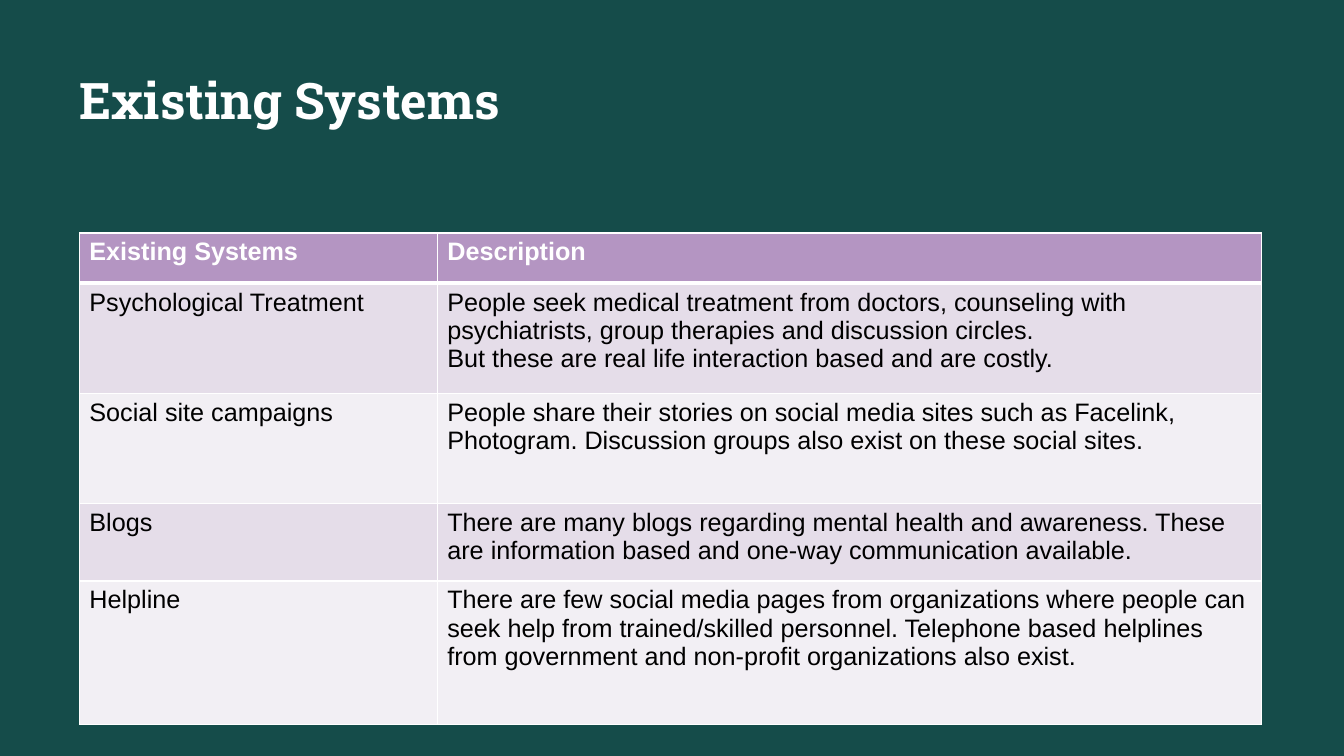
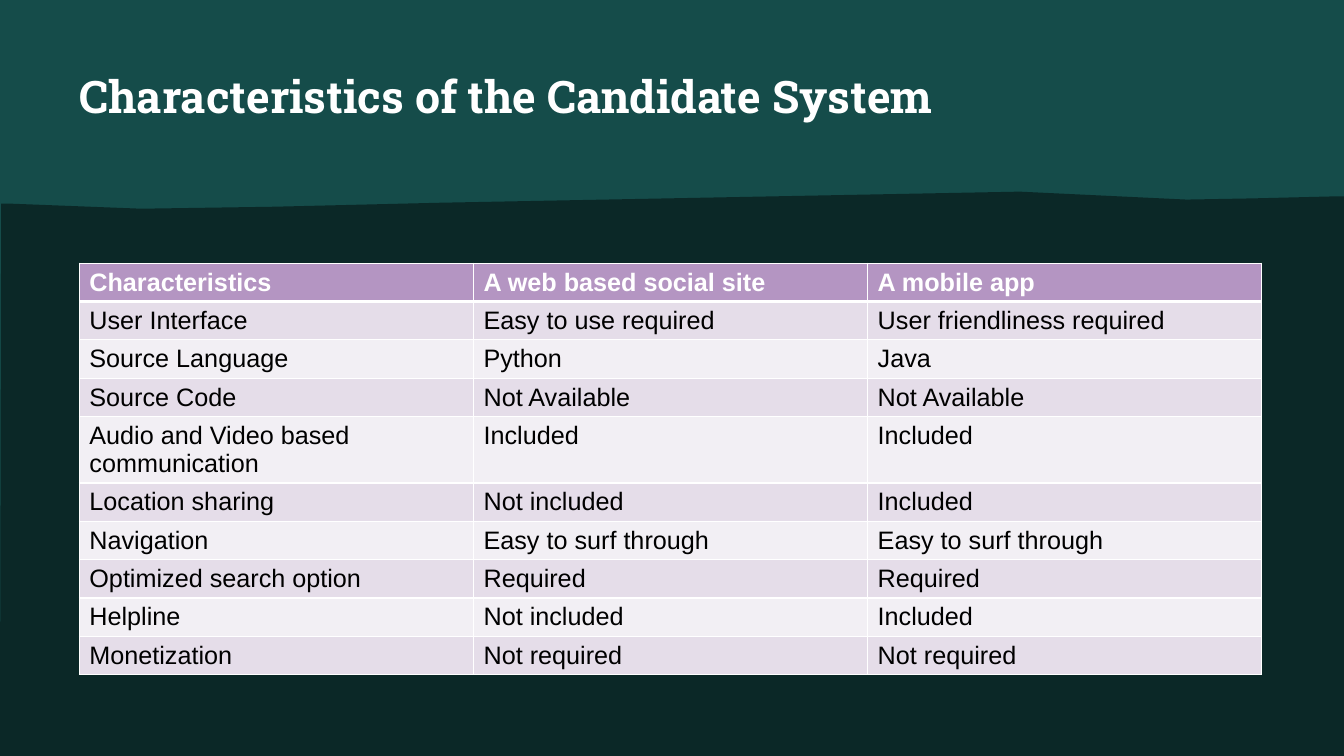
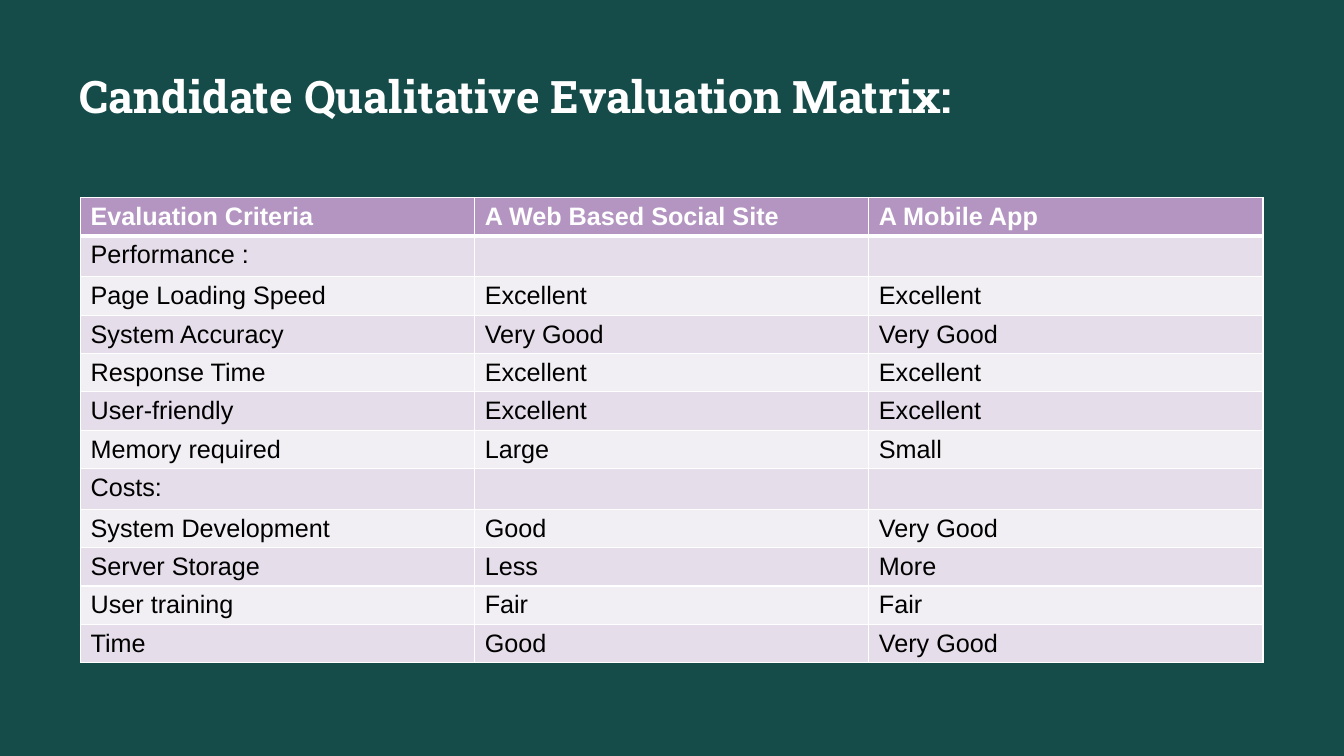
from dataclasses import dataclass

from lxml.etree import SubElement
from pptx import Presentation
from pptx.dml.color import RGBColor as Color
from pptx.enum.text import MSO_ANCHOR as Anchor, MSO_AUTO_SIZE as AutoSize, PP_ALIGN as Align
from pptx.oxml.ns import qn
from pptx.util import Cm, Pt


@dataclass(frozen=True)
class Theme:
    backdrop: str = "154C4A"
    ground: str = "0B2827"
    header: str = "B495C2"
    bands: tuple = ("E5DDE9", "F2EFF4")
    light: str = "FFFFFF"
    dark: str = "000000"
    title_font: str = "Roboto Slab"
    body_font: str = "Arial"
    title_size: int = 32
    large_title_size: int = 36
    body_size: int = 18
    rule: int = 1
    header_rule: int = 3
    margin: float = 2.0
    content_width: float = 29.8
    row_height: float = 0.96


THEME = Theme()
WIDTH, HEIGHT = 33.87, 19.05
EQUAL_COLUMNS = [THEME.content_width / 3] * 3

GROUND_OUTLINE = [
    (25.7, 4.83), (29.9, 5.03), (31.57, 5.0), (33.6, 4.95), (WIDTH, 4.95),
    (WIDTH, HEIGHT), (0, HEIGHT), (0.03, 5.13), (0.2, 5.13), (3.56, 5.26),
    (6.91, 5.21), (9, 5.16), (11.07, 5.11),
]

EXISTING_SYSTEMS = [
    ("Existing Systems", "Description"),
    ("Psychological Treatment",
     "People seek medical treatment from doctors, counseling with psychiatrists, "
     "group therapies and discussion circles.\n"
     "But these are real life interaction based and are costly."),
    ("Social site campaigns",
     "People share their stories on social media sites such as Facelink, "
     "Photogram. Discussion groups also exist on these social sites."),
    ("Blogs",
     "There are many blogs regarding mental health and awareness. "
     "These are information based and one-way communication available."),
    ("Helpline",
     "There are few social media pages from organizations where people can "
     "seek help from trained/skilled personnel. Telephone based helplines "
     "from government and non-profit organizations also exist."),
]

CHARACTERISTICS = [
    ("Characteristics", "A web based social site", "A mobile app"),
    ("User Interface", "Easy to use required", "User friendliness required"),
    ("Source Language", "Python", "Java"),
    ("Source Code", "Not Available", "Not Available"),
    ("Audio and Video based communication", "Included", "Included"),
    ("Location sharing", "Not included", "Included"),
    ("Navigation", "Easy to surf through", "Easy to surf through"),
    ("Optimized search option", "Required", "Required"),
    ("Helpline", "Not included", "Included"),
    ("Monetization", "Not required", "Not required"),
]

EVALUATION = [
    ("Evaluation Criteria", "A Web Based Social Site", "A Mobile App"),
    ("Performance :", "", ""),
    ("Page Loading Speed", "Excellent", "Excellent"),
    ("System Accuracy", "Very Good", "Very Good"),
    ("Response Time", "Excellent", "Excellent"),
    ("User-friendly", "Excellent", "Excellent"),
    ("Memory required", "Large", "Small"),
    ("Costs:", "", ""),
    ("System Development", "Good", "Very Good"),
    ("Server Storage", "Less", "More"),
    ("User training", "Fair", "Fair"),
    ("Time", "Good", "Very Good"),
]


def paint(fill, color):
    fill.solid()
    fill.fore_color.rgb = Color.from_string(color)


def add_run(para, text, font, size, color, bold):
    span = para.add_run()
    span.text = text
    span.font.name = font
    span.font.size = Pt(size)
    span.font.bold = bold
    span.font.color.rgb = Color.from_string(color)


def add_page(deck, title, size=THEME.title_size):
    page = deck.slides.add_slide(deck.slide_layouts[5])
    box = page.shapes.title
    box.left, box.top = Cm(THEME.margin), Cm(1.73)
    box.width, box.height = Cm(THEME.content_width), Cm(2)
    frame = box.text_frame
    frame.margin_left = frame.margin_right = frame.margin_top = frame.margin_bottom = 0
    frame.word_wrap = True
    frame.auto_size = AutoSize.NONE
    frame.vertical_anchor = Anchor.TOP
    para = frame.paragraphs[0]
    para.alignment = Align.LEFT
    add_run(para, title, THEME.title_font, size, THEME.light, True)
    return page


def add_ground(page):
    points = [(Cm(x), Cm(y)) for x, y in GROUND_OUTLINE]
    builder = page.shapes.build_freeform(*points[0])
    builder.add_line_segments(points[1:], close=True)
    ground = builder.convert_to_shape()
    ground.shadow.inherit = False
    paint(ground.fill, THEME.ground)
    ground.line.fill.background()


def add_borders(cell, top, bottom):
    properties = cell._tc.get_or_add_tcPr()
    sides = [("a:lnL", THEME.rule), ("a:lnR", THEME.rule), ("a:lnT", top), ("a:lnB", bottom)]
    for position, (side, width) in enumerate(sides):
        line = SubElement(properties, qn(side), w=str(Pt(width)))
        fill = SubElement(line, qn("a:solidFill"))
        SubElement(fill, qn("a:srgbClr"), val=THEME.light)
        properties.insert(position, line)


def fill_cell(cell, text, row_index):
    is_header = row_index == 0
    paint(cell.fill, THEME.header if is_header else THEME.bands[(row_index - 1) % 2])
    add_borders(cell,
                THEME.header_rule if row_index == 1 else THEME.rule,
                THEME.header_rule if is_header else THEME.rule)
    frame = cell.text_frame
    for index, line in enumerate(text.split("\n") if text else []):
        para = frame.add_paragraph() if index else frame.paragraphs[0]
        add_run(para, line, THEME.body_font, THEME.body_size,
                THEME.light if is_header else THEME.dark, is_header)


def add_grid(page, rows, top, column_widths, row_heights, left=THEME.margin):
    table = page.shapes.add_table(
        len(rows), len(column_widths), Cm(left), Cm(top),
        Cm(sum(column_widths)), Cm(sum(row_heights))).table
    table.horz_banding = False
    for column, width in zip(table.columns, column_widths):
        column.width = Cm(width)
    for row_index, (row, height, texts) in enumerate(zip(table.rows, row_heights, rows)):
        row.height = Cm(height)
        for cell, text in zip(row.cells, texts):
            fill_cell(cell, text, row_index)


def main():
    deck = Presentation()
    deck.slide_width, deck.slide_height = Cm(WIDTH), Cm(HEIGHT)
    paint(deck.slide_master.background.fill, THEME.backdrop)

    page = add_page(deck, "Existing Systems", THEME.large_title_size)
    add_grid(page, EXISTING_SYSTEMS, 5.87, [9.02, 20.78], [1.27, 2.77, 2.77, 1.96, 3.61])

    page = add_page(deck, "Characteristics of the Candidate System")
    add_ground(page)
    heights = [THEME.row_height] * len(CHARACTERISTICS)
    heights[4] = 1.67
    add_grid(page, CHARACTERISTICS, 6.63, EQUAL_COLUMNS, heights)

    page = add_page(deck, "Candidate Qualitative Evaluation Matrix:")
    add_grid(page, EVALUATION, 4.98, EQUAL_COLUMNS,
             [THEME.row_height] * len(EVALUATION), left=2.03)

    deck.save("out.pptx")


if __name__ == "__main__":
    main()
